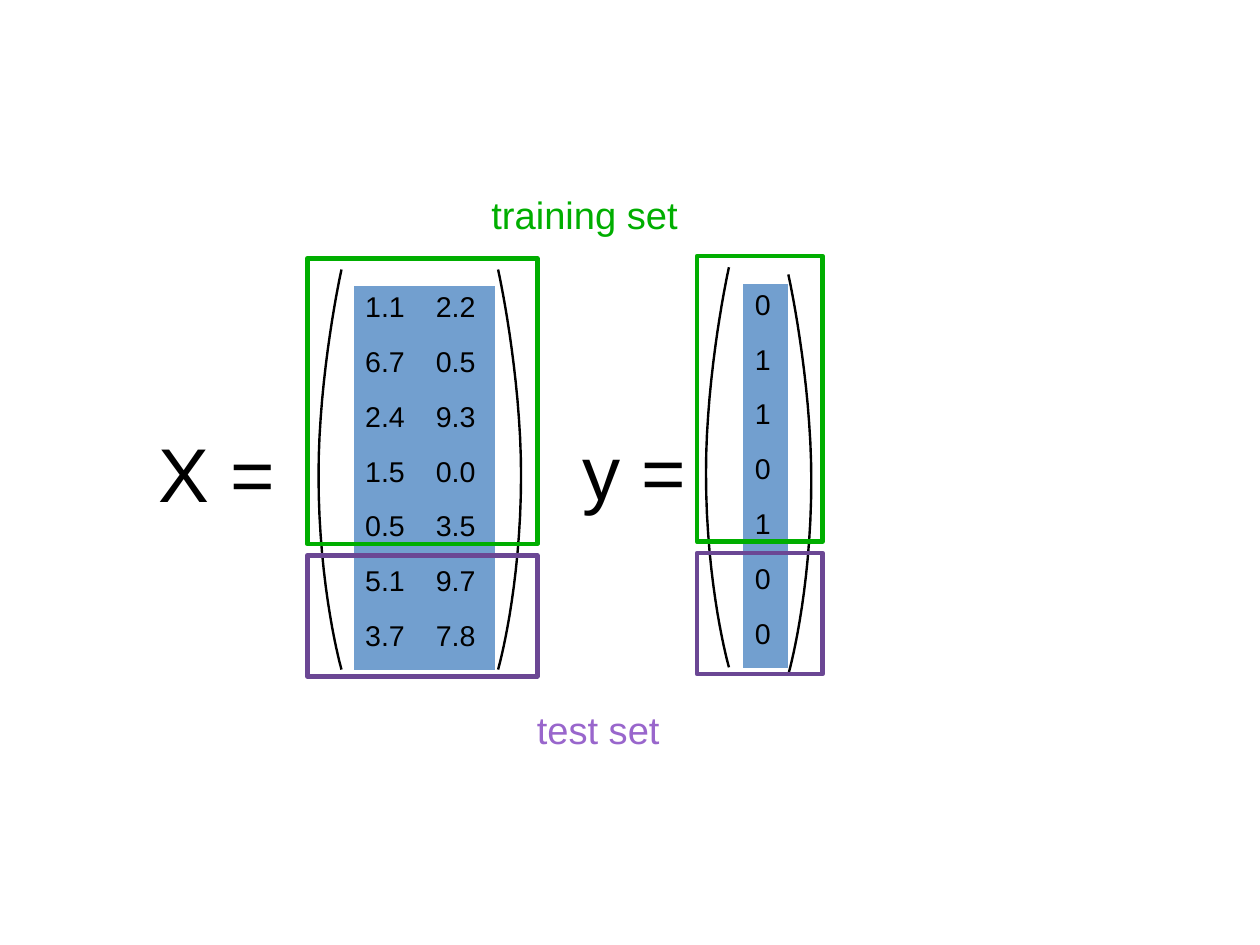
from lxml import etree
from pptx import Presentation
from pptx.dml.color import RGBColor
from pptx.enum.shapes import MSO_SHAPE
from pptx.oxml.ns import qn
from pptx.util import Cm, Pt

RECTANGLE = MSO_SHAPE.RECTANGLE
BLACK = RGBColor(0x00, 0x00, 0x00)
CELL_BLUE = RGBColor(0x72, 0x9F, 0xCF)
TRAINING_GREEN = RGBColor(0x00, 0xAE, 0x00)
TEST_LILAC = RGBColor(0x99, 0x66, 0xCC)
TEST_PURPLE = RGBColor(0x6B, 0x47, 0x94)
FONT = "Arial"

ROW_HEIGHT = 1.22
BRACKET_WIDTH = 0.51
BRACKET_STEPS = 16
BRACKET_CURVES = (
    ((0, 0), (0, 0), (1, 2.29), (1, 4.57)),
    ((1, 4.57), (1, 7.11), (0, 8.89), (0, 8.89)),
)
TRAINING_HEIGHT = 6.35
TEST_OFFSET = 6.6
TEST_HEIGHT = 2.69

FEATURES = [
    ("1.1", "2.2"), ("6.7", "0.5"), ("2.4", "9.3"), ("1.5", "0.0"),
    ("0.5", "3.5"), ("5.1", "9.7"), ("3.7", "7.8"),
]
TARGETS = ["0", "1", "1", "0", "1", "0", "0"]


def add_run(paragraph, text, size, color):
    run = paragraph.add_run()
    run.text = text
    run.font.name = FONT
    run.font.size = Pt(size)
    run.font.color.rgb = color


def add_label(slide, left, top, width, height, text, size, color, wrap=True):
    box = slide.shapes.add_textbox(Cm(left), Cm(top), Cm(width), Cm(height))
    box.text_frame.word_wrap = wrap
    add_run(box.text_frame.paragraphs[0], text, size, color)


def curve_point(curve, t):
    weights = ((1 - t) ** 3, 3 * t * (1 - t) ** 2, 3 * t ** 2 * (1 - t), t ** 3)
    return [sum(w * point[axis] for w, point in zip(weights, curve)) for axis in (0, 1)]


def add_bracket(slide, end_x, top, bulge):
    points = [(Cm(end_x), Cm(top))]
    for curve in BRACKET_CURVES:
        for step in range(1, BRACKET_STEPS + 1):
            x, y = curve_point(curve, step / BRACKET_STEPS)
            points.append((Cm(end_x + bulge * x), Cm(top + y)))
    builder = slide.shapes.build_freeform(*points[0])
    builder.add_line_segments(points[1:], close=False)
    bracket = builder.convert_to_shape()
    bracket.shadow.inherit = False
    bracket.fill.background()
    bracket.line.color.rgb = BLACK
    bracket.line.width = Pt(1.5)


def add_values(slide, left, top, column_width, rows):
    columns = len(rows[0])
    frame = slide.shapes.add_table(
        len(rows), columns, Cm(left), Cm(top),
        Cm(column_width * columns), Cm(ROW_HEIGHT * len(rows)))
    table = frame.table
    table.first_row = False
    table.horz_banding = False
    for column in table.columns:
        column.width = Cm(column_width)
    for row, values in zip(table.rows, rows):
        row.height = Cm(ROW_HEIGHT)
        for cell, value in zip(row.cells, values):
            properties = cell._tc.get_or_add_tcPr()
            for side in ("a:lnL", "a:lnR", "a:lnT", "a:lnB"):
                border = etree.SubElement(properties, qn(side))
                etree.SubElement(border, qn("a:noFill"))
            cell.fill.solid()
            cell.fill.fore_color.rgb = CELL_BLUE
            add_run(cell.text_frame.paragraphs[0], value, 18, BLACK)


def add_frame(slide, left, top, width, height, color):
    shape = slide.shapes.add_shape(RECTANGLE, Cm(left), Cm(top), Cm(width), Cm(height))
    shape.shadow.inherit = False
    shape.fill.background()
    shape.line.color.rgb = color
    shape.line.width = Pt(2.89)
    etree.SubElement(shape._element.spPr.find(qn("a:ln")), qn("a:round"))


def add_matrix(slide, left, top, width, name, name_width, name_gap, rows,
               column_width, bracket_insets, right_bracket_drop):
    left_inset, right_inset = bracket_insets
    add_bracket(slide, left + left_inset + BRACKET_WIDTH, top + 0.25, -BRACKET_WIDTH)
    add_bracket(slide, left + width - right_inset - BRACKET_WIDTH,
                top + right_bracket_drop, BRACKET_WIDTH)
    add_label(slide, left - name_gap, top + 3.62, name_width, 2.16,
              name, 48, BLACK, wrap=False)
    add_values(slide, left + 1.03, top + 0.61, column_width, rows)
    add_frame(slide, left, top, width, TRAINING_HEIGHT, TRAINING_GREEN)
    add_frame(slide, left, top + TEST_OFFSET, width, TEST_HEIGHT, TEST_PURPLE)


def main():
    presentation = Presentation()
    presentation.slide_width = Cm(28)
    presentation.slide_height = Cm(21)
    slide = presentation.slides.add_slide(presentation.slide_layouts[6])
    add_matrix(slide, 6.83, 5.74, 5.11, "X =", 3.56, 3.56, FEATURES,
               1.57, (0.25, 0.36), 0.25)
    add_matrix(slide, 15.49, 5.69, 2.79, "y =", 3.28, 2.79, TARGETS,
               0.99, (0.2, 0.25), 0.41)
    add_label(slide, 10.67, 4.14, 5.84, 1.19, "training set", 24, TRAINING_GREEN)
    add_label(slide, 11.68, 15.57, 5.84, 1.19, "test set", 24, TEST_LILAC)
    presentation.save("out.pptx")


if __name__ == "__main__":
    main()
